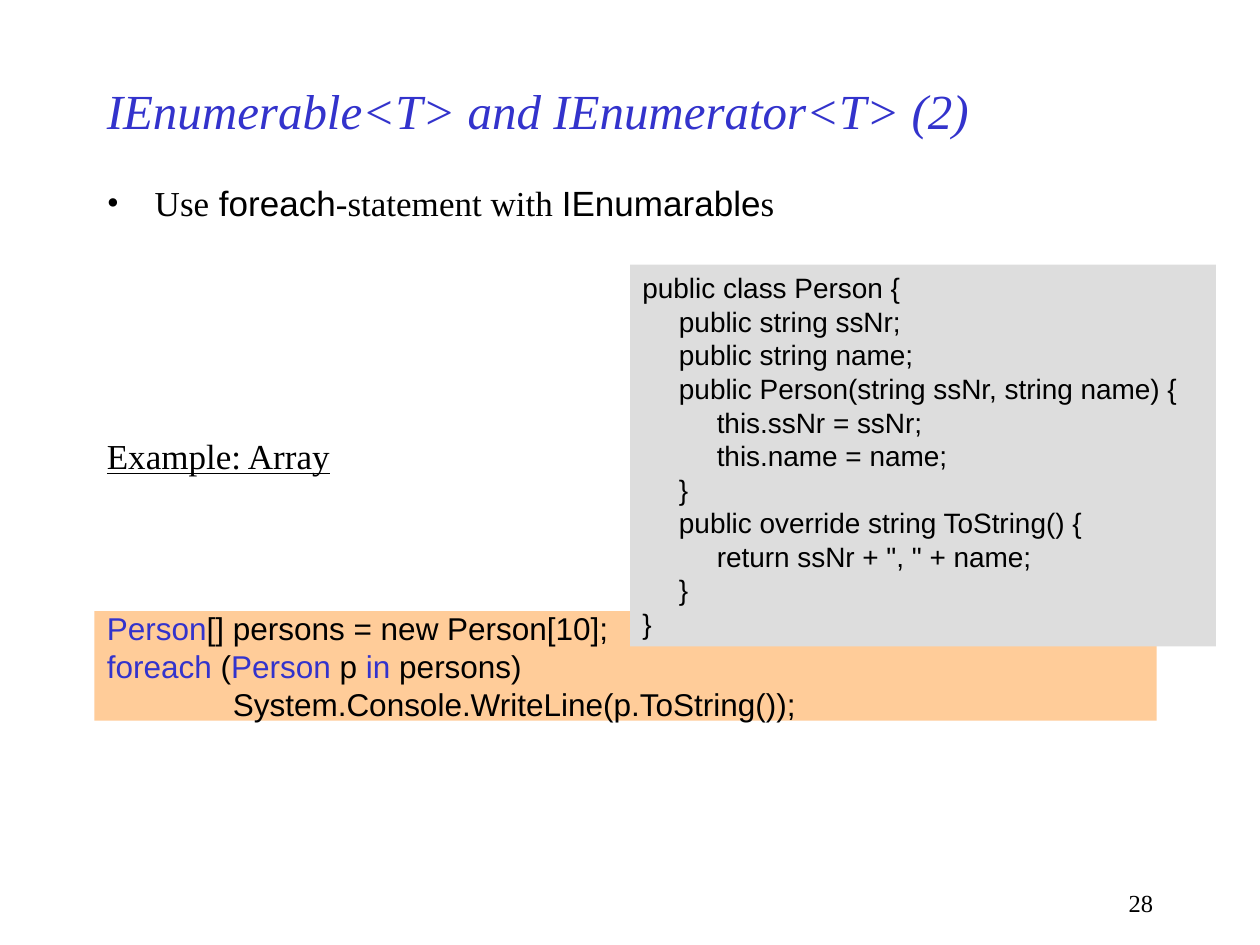
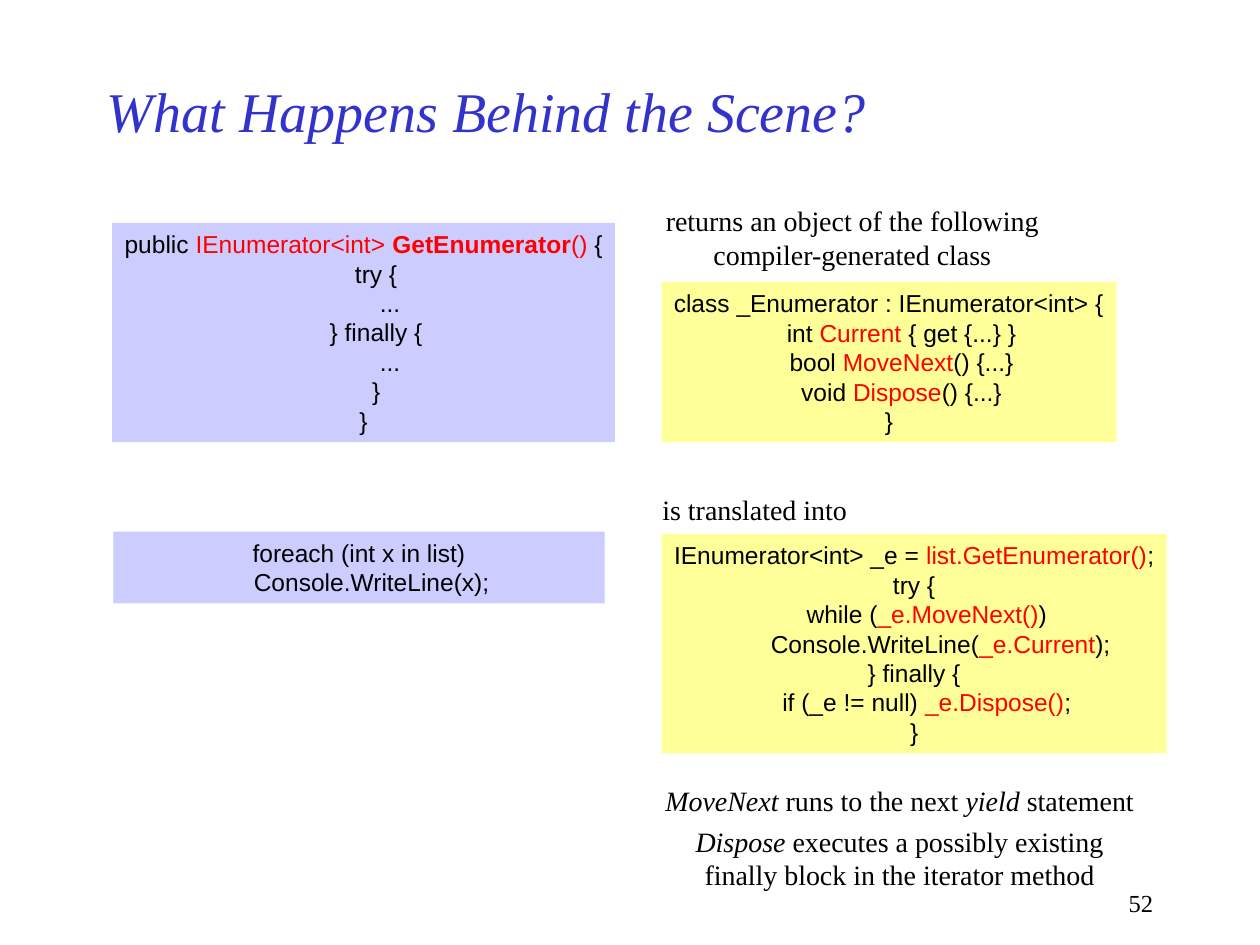
from lxml import etree
from pptx import Presentation
from pptx.dml.color import RGBColor
from pptx.enum.shapes import MSO_SHAPE
from pptx.enum.text import MSO_ANCHOR, PP_ALIGN
from pptx.oxml.ns import qn
from pptx.util import Inches, Pt

RECTANGLE = MSO_SHAPE.RECTANGLE
LEFT, CENTER, RIGHT = PP_ALIGN.LEFT, PP_ALIGN.CENTER, PP_ALIGN.RIGHT
TOP, MIDDLE = MSO_ANCHOR.TOP, MSO_ANCHOR.MIDDLE

COLORS = {
    "text": "000000",
    "blue": "3333CC",
    "red": "FF0000",
    "orange": "FFCC99",
    "grey": "DDDDDD",
    "lilac": "CCCCFF",
    "yellow": "FFFF99",
}
SERIF, SANS = "Times New Roman", "Arial"
BLUE, RED = {"color": "blue"}, {"color": "red"}
CODE, ITALIC = {"font": SANS}, {"italic": True}

PROSE = {"font": SERIF, "size": 16, "align": CENTER, "wrap": False}
LISTING = {"font": SANS, "size": 14, "align": CENTER, "wrap": False, "tabs": (0.2, 0.42)}

PERSON_CLASS = [
    "public class Person {",
    "\tpublic string ssNr;",
    "\tpublic string name;",
    "\tpublic Person(string ssNr, string name) {",
    "\t\tthis.ssNr = ssNr;",
    "\t\tthis.name = name;",
    "\t}",
    "\tpublic override string ToString() {",
    "\t\treturn ssNr + \", \" + name;",
    "\t}",
    "}",
]
ARRAY_LOOP = [
    [("Person", BLUE), "[] persons = new Person[10];"],
    [("foreach", BLUE), " (", ("Person ", BLUE), "p", (" in", BLUE), " persons)"],
    "\tSystem.Console.WriteLine(p.ToString());",
]
GET_ENUMERATOR = [
    ["public", (" IEnumerator<int> ", RED),
     ("GetEnumerator", {"color": "red", "bold": True}), ("()", RED), " {"],
    "\ttry {",
    "\t\t...",
    "\t} finally {",
    "\t\t...",
    "\t}",
    "}",
]
ENUMERATOR_CLASS = [
    "class _Enumerator : IEnumerator<int> {",
    ["\tint ", ("Current", RED), " { get {...} }"],
    ["\tbool ", ("MoveNext", RED), "() {...}"],
    ["\tvoid ", ("Dispose", RED), "() {...}"],
    "}",
]
FOREACH_LOOP = ["foreach (int x in list)", "\tConsole.WriteLine(x);"]
TRANSLATED_LOOP = [
    ["IEnumerator<int> _e = ", ("list.GetEnumerator()", RED), ";"],
    "try {",
    ["\twhile (", ("_e.MoveNext()", RED), ")"],
    ["\t\tConsole.WriteLine(", ("_e.Current", RED), ");"],
    "} finally {",
    ["\tif (_e != null) ", ("_e.Dispose()", RED), ";"],
    "}",
]

SLIDES = [
    {
        "title": "IEnumerable<T> and IEnumerator<T> (2)",
        "title_size": 28,
        "number": "28",
        "parts": [
            ((0.75, 4.85, 8.43, 0.87), ARRAY_LOOP,
             {"font": SANS, "size": 18, "fill": "orange", "anchor": MIDDLE, "tabs": (1,)}),
            ((0.75, 1.39, 8.5, 0.45),
             [["Use", (" foreach", CODE), "-statement with ", ("IEnumarable", CODE), "s"]],
             {"size": 20, "bullet": True}),
            ((0.75, 3.4, 4, 0.45), [[("Example: Array", {"underline": True})]], {"size": 20}),
            ((5, 2.1, 4.65, 3.03), PERSON_CLASS,
             {"font": SANS, "size": 16, "fill": "grey", "tabs": (0.29, 0.59)}),
        ],
    },
    {
        "title": "What Happens Behind the Scene?",
        "title_size": 32,
        "number": "52",
        "parts": [
            ((0.89, 1.77, 3.99, 1.74), GET_ENUMERATOR, {**LISTING, "fill": "lilac"}),
            ((5.16, 1.57, 3.21, 0.64),
             ["returns an object of the following", "compiler-generated class"], PROSE),
            ((5.25, 2.24, 3.61, 1.27), ENUMERATOR_CLASS, {**LISTING, "fill": "yellow"}),
            ((0.9, 4.22, 3.9, 0.57), FOREACH_LOOP, {**LISTING, "fill": "lilac"}),
            ((5.04, 3.86, 1.9, 0.37), ["is translated into"], PROSE),
            ((5.25, 4.24, 4.01, 1.74), TRANSLATED_LOOP, {**LISTING, "fill": "yellow"}),
            ((5.08, 6.17, 4.12, 0.96),
             [[("MoveNext", ITALIC), " runs to the next ", ("yield", ITALIC), " statement"],
              [("Dispose", ITALIC), " executes a possibly existing"],
              "finally block in the iterator method"],
             {**PROSE, "gaps": {1: 4}}),
        ],
    },
]


def color(name):
    return RGBColor.from_string(COLORS[name])


def add_bullet(paragraph):
    properties = paragraph._p.get_or_add_pPr()
    properties.set("marL", str(Inches(0.38)))
    properties.set("indent", str(-Inches(0.38)))
    etree.SubElement(properties, qn("a:buFont"), typeface=SERIF)
    etree.SubElement(properties, qn("a:buChar"), char="•")


def add_tabs(paragraph, stops):
    tab_list = etree.SubElement(paragraph._p.get_or_add_pPr(), qn("a:tabLst"))
    for stop in stops:
        etree.SubElement(tab_list, qn("a:tab"), pos=str(Inches(stop)), algn="l")


def add_span(paragraph, text, font, size, color_name, italic=False, bold=False, underline=False):
    span = paragraph.add_run()
    span.text = text
    span.font.name = font
    span.font.size = Pt(size)
    span.font.color.rgb = color(color_name)
    span.font.italic = italic
    span.font.bold = bold
    span.font.underline = underline


def add_text(page, place, lines, font=SERIF, size=16, ink="text", italic=False, fill=None,
             align=LEFT, anchor=TOP, wrap=True, tabs=(), bullet=False, gaps=None):
    bounds = [Inches(length) for length in place]
    if fill:
        box = page.shapes.add_shape(RECTANGLE, *bounds)
        box.shadow.inherit = False
        box.fill.solid()
        box.fill.fore_color.rgb = color(fill)
        box.line.fill.background()
    else:
        box = page.shapes.add_textbox(*bounds)
    frame = box.text_frame
    frame.word_wrap = wrap
    frame.vertical_anchor = anchor
    for index, line in enumerate(lines):
        para = frame.add_paragraph() if index else frame.paragraphs[0]
        para.alignment = align
        if gaps and index in gaps:
            para.space_before = Pt(gaps[index])
        if bullet:
            add_bullet(para)
        if tabs:
            add_tabs(para, tabs)
        for piece in [line] if isinstance(line, str) else line:
            text, style = (piece, {}) if isinstance(piece, str) else piece
            add_span(para, text, style.get("font", font), size, style.get("color", ink),
                     italic=style.get("italic", italic), bold=style.get("bold", False),
                     underline=style.get("underline", False))


def build_slide(deck, content):
    page = deck.slides.add_slide(deck.slide_layouts[6])
    add_text(page, (7.17, 7, 2.08, 0.33), [content["number"]], size=14, align=RIGHT)
    add_text(page, (0.75, 0.5, 7.5, 0.75), [content["title"]], size=content["title_size"],
             ink="blue", italic=True, anchor=MIDDLE)
    for place, lines, style in content["parts"]:
        add_text(page, place, lines, **style)


def main():
    deck = Presentation()
    deck.slide_width, deck.slide_height = Inches(10), Inches(7.5)
    for content in SLIDES:
        build_slide(deck, content)
    deck.save("out.pptx")


if __name__ == "__main__":
    main()
